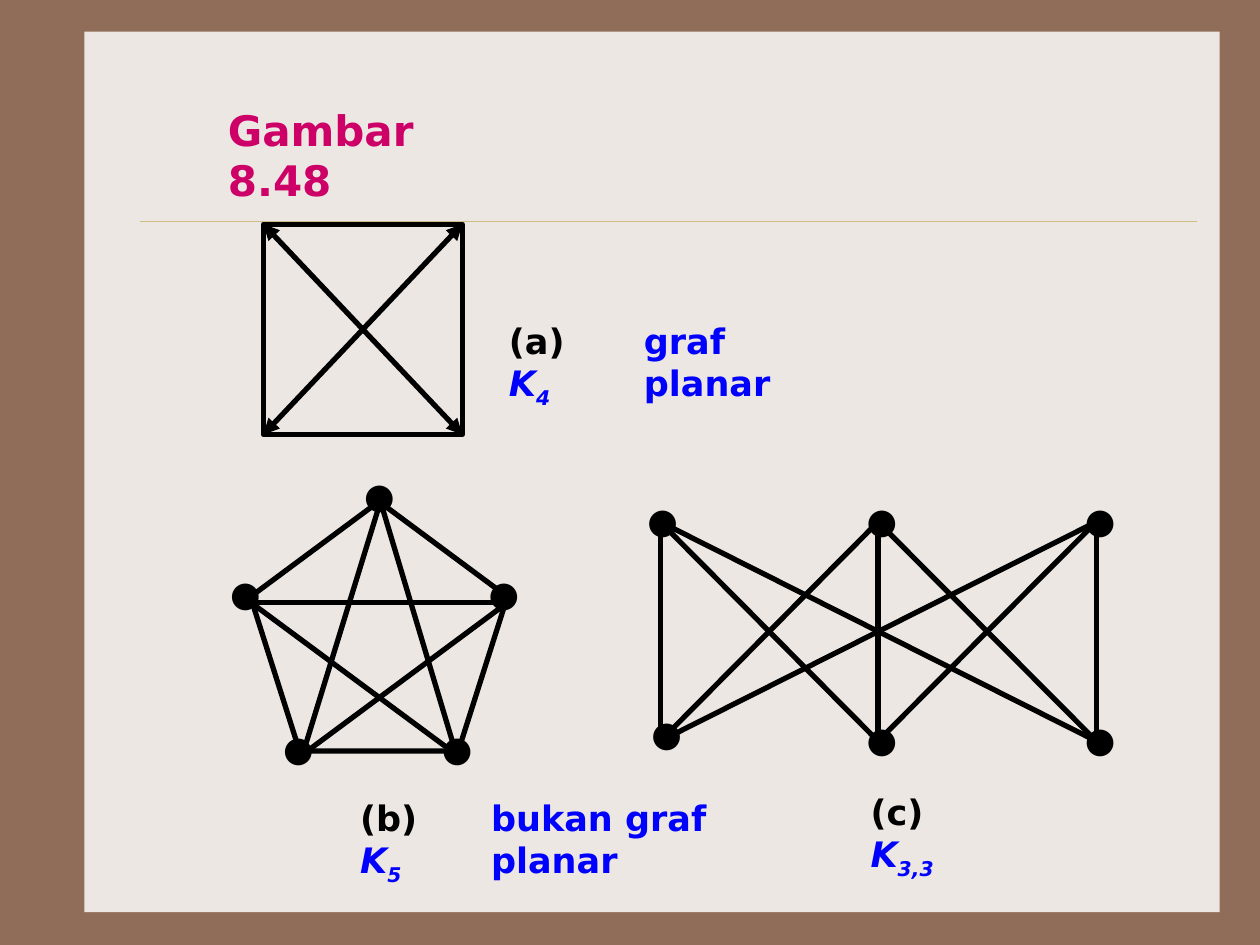
"""Build the slide comparing the complete graphs K4, K5 and the bipartite graph K3,3."""
from dataclasses import dataclass
from itertools import combinations, product

from lxml import etree
from pptx import Presentation
from pptx.dml.color import RGBColor
from pptx.enum.shapes import MSO_CONNECTOR, MSO_SHAPE
from pptx.enum.text import MSO_ANCHOR, MSO_AUTO_SIZE, PP_ALIGN
from pptx.oxml.ns import qn
from pptx.shapes.autoshape import Shape
from pptx.shapes.shapetree import GroupShapes, SlideShapes
from pptx.util import Cm, Pt

STRAIGHT = MSO_CONNECTOR.STRAIGHT
RECTANGLE = MSO_SHAPE.RECTANGLE
PENTAGON = MSO_SHAPE.REGULAR_PENTAGON
LEFT = PP_ALIGN.LEFT
TOP = MSO_ANCHOR.TOP
GROW = MSO_AUTO_SIZE.SHAPE_TO_FIT_TEXT

FONT = "DejaVu Sans"
EDGE_WIDTH = 3
COLORS = {
    "background": "906D58",
    "panel": "EDE7E3",
    "rule": "CBBD83",
    "ink": "000000",
    "name": "0000FF",
    "title": "CC0066",
}

Shapes = SlideShapes | GroupShapes
Point = tuple[float, float]


@dataclass(frozen=True)
class Box:
    left: float
    top: float
    width: float
    height: float

    def lengths(self) -> tuple[Cm, Cm, Cm, Cm]:
        return Cm(self.left), Cm(self.top), Cm(self.width), Cm(self.height)


@dataclass(frozen=True)
class GraphLabel:
    box: Box
    letter: str
    subscript: str


@dataclass(frozen=True)
class Remark:
    box: Box
    text: str


TITLE_BOX = Box(4.34, 1.98, 6.02, 1.27)
PANEL = Box(1.7, 0.64, 22.89, 17.75)
SQUARE = Box(5.31, 4.52, 4.01, 4.24)
PENTAGON_BOX = Box(5.05, 10.11, 5.18, 5.03)
PENTAGON_CORNERS = [(7.67, 10.11), (10.24, 12.14), (9.2, 15.21), (6.1, 15.21), (5.05, 12.14)]
PENTAGON_DOTS = [(9.6, 11.4), (7.09, 9.42), (4.39, 11.4), (8.66, 14.53), (5.46, 14.53)]
BIPARTITE_COLUMNS = [13.31, 17.7, 22.1]
BIPARTITE_TOP, BIPARTITE_BOTTOM = 10.52, 14.94
BIPARTITE_DOTS = [
    (12.8, 9.93), (17.22, 9.93), (21.62, 9.93),
    (12.88, 14.22), (17.22, 14.33), (21.62, 14.33),
]
LABELS = [
    GraphLabel(Box(10.01, 6.32, 2.26, 1.22), "a", "4"),
    GraphLabel(Box(7.01, 15.93, 2.26, 1.22), "b", "5"),
    GraphLabel(Box(17.3, 15.82, 2.54, 1.22), "c", "3,3"),
]
REMARKS = [
    Remark(Box(12.73, 6.32, 4.45, 1.12), "graf planar"),
    Remark(Box(9.65, 15.93, 6.88, 1.12), "bukan graf planar"),
]


def color(name: str) -> RGBColor:
    return RGBColor.from_string(COLORS[name])


def add_line(shapes: Shapes, start: Point, end: Point, arrows: bool = False,
             line_color: str = "ink", width: float = EDGE_WIDTH) -> None:
    connector = shapes.add_connector(STRAIGHT, *(Cm(value) for value in start + end))
    connector.line.color.rgb = color(line_color)
    connector.line.width = Pt(width)
    properties = connector.element.spPr
    if arrows:
        outline = properties.find(qn("a:ln"))
        for tag in ("a:headEnd", "a:tailEnd"):
            etree.SubElement(outline, qn(tag), type="triangle")
    etree.SubElement(properties, qn("a:effectLst"))


def add_outline(shapes: Shapes, kind: MSO_SHAPE, box: Box) -> None:
    shape = shapes.add_shape(kind, *box.lengths())
    shape.shadow.inherit = False
    shape.fill.background()
    shape.line.color.rgb = color("ink")
    shape.line.width = Pt(EDGE_WIDTH)


def set_text(shape: Shape, text: str, text_color: str, size: int = 20,
             bold: bool = True, wrap: bool = True) -> None:
    frame = shape.text_frame
    frame.word_wrap = wrap
    frame.auto_size = GROW
    frame.vertical_anchor = TOP
    frame.text = text
    paragraph = frame.paragraphs[0]
    paragraph.alignment = LEFT
    paragraph.font.name = FONT
    paragraph.font.size = Pt(size)
    paragraph.font.bold = bold
    paragraph.font.color.rgb = color(text_color)


def add_dots(shapes: Shapes, positions: list[Point]) -> None:
    for left, top in positions:
        dot = shapes.add_textbox(*Box(left, top, 1.12, 1.12).lengths())
        set_text(dot, "●", "ink", bold=False, wrap=False)


def add_label(shapes: Shapes, label: GraphLabel) -> None:
    shape = shapes.add_textbox(*label.box.lengths())
    set_text(shape, f"({label.letter}) ", "ink")
    for text in ("K", label.subscript):
        run = shape.text_frame.paragraphs[0].add_run()
        run.text = text
        run.font.italic = True
        run.font.color.rgb = color("name")
    shape.element.xpath(".//a:rPr")[-1].set("baseline", "-25000")


def add_backdrop(shapes: SlideShapes) -> None:
    panel = shapes.add_shape(RECTANGLE, *PANEL.lengths())
    panel.shadow.inherit = False
    panel.fill.solid()
    panel.fill.fore_color.rgb = color("panel")
    panel.line.fill.background()
    add_line(shapes, (2.82, 4.45), (24.13, 4.45), line_color="rule", width=0.25)


def add_square_graph(shapes: Shapes) -> None:
    add_outline(shapes, RECTANGLE, SQUARE)
    right, bottom = SQUARE.left + SQUARE.width, SQUARE.top + SQUARE.height
    add_line(shapes, (SQUARE.left, SQUARE.top), (right, bottom), arrows=True)
    add_line(shapes, (right, SQUARE.top), (SQUARE.left, bottom), arrows=True)


def add_pentagon_graph(shapes: Shapes) -> None:
    add_outline(shapes, PENTAGON, PENTAGON_BOX)
    for first, second in combinations(range(5), 2):
        if second - first in (2, 3):
            add_line(shapes, PENTAGON_CORNERS[first], PENTAGON_CORNERS[second])


def add_bipartite_graph(shapes: Shapes) -> None:
    for upper, lower in product(BIPARTITE_COLUMNS, repeat=2):
        add_line(shapes, (upper, BIPARTITE_TOP), (lower, BIPARTITE_BOTTOM))
    add_dots(shapes, BIPARTITE_DOTS)


def main() -> None:
    presentation = Presentation()
    presentation.slide_width, presentation.slide_height = Cm(25.4), Cm(19.05)
    slide = presentation.slides.add_slide(presentation.slide_layouts[5])
    slide.background.fill.solid()
    slide.background.fill.fore_color.rgb = color("background")
    shapes = slide.shapes
    add_backdrop(shapes)
    add_square_graph(shapes.add_group_shape().shapes)
    add_pentagon_graph(shapes.add_group_shape().shapes)
    add_dots(shapes, PENTAGON_DOTS)
    add_bipartite_graph(shapes.add_group_shape().shapes)
    for label in LABELS:
        add_label(shapes, label)
    title = shapes.title
    title.left, title.top, title.width, title.height = TITLE_BOX.lengths()
    set_text(title, "Gambar 8.48", "title", size=24)
    shapes.element.append(title.element)
    for remark in REMARKS:
        set_text(shapes.add_textbox(*remark.box.lengths()), remark.text, "name")
    presentation.save("out.pptx")


if __name__ == "__main__":
    main()
